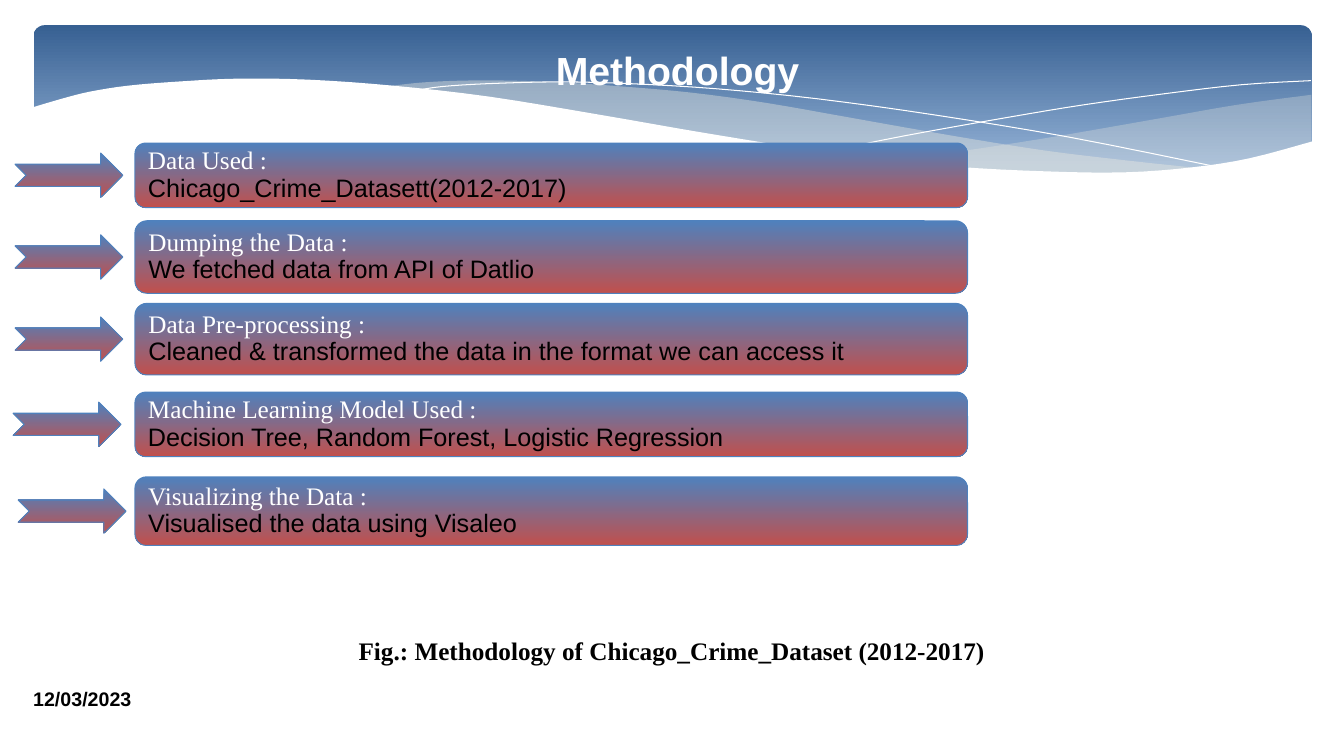
import lxml.etree
import pptx
import pptx.dml.color
import pptx.enum.shapes
import pptx.enum.text
import pptx.oxml.ns
import pptx.util

Pt = pptx.util.Pt
SHAPES = pptx.enum.shapes.MSO_SHAPE
ALIGN = pptx.enum.text.PP_ALIGN
ANCHOR = pptx.enum.text.MSO_ANCHOR

SANS, SERIF = "Arial", "Times New Roman"
BLUE, RED, WHITE, BLACK, VEIL = "4F81BD", "C0504D", "FFFFFF", "000000", "EEECE1"

ROW_LEFT, ROW_WIDTH = 96.4, 594.7
ARROW_WIDTH, ARROW_HEIGHT = 77, 31.7

# top, height, arrow left, heading, detail
STEPS = [
    (102.2, 46.1, 10.8, "Data Used :", "Chicago_Crime_Datasett(2012-2017)"),
    (157.7, 51.8, 10.8, "Dumping the Data :", "We fetched data from API of Datlio"),
    (216.7, 51.1, 10.8, "Data Pre-processing :",
     "Cleaned & transformed the data in the format we can access it"),
    (280.1, 46.1, 9.4, "Machine Learning Model Used :",
     "Decision Tree, Random Forest, Logistic Regression"),
    (340.6, 49, 13, "Visualizing the Data :", "Visualised the data using Visaleo"),
]

RIGHT_VEIL = [
    [(936.7, 67.7), (883.4, 74.9), (825.8, 85), (747.4, 98.6), (677.5, 109.4),
     (635, 115.2)],
    [(635, 115.2), (676.8, 118.8), (726.5, 122.4), (771.1, 123.8), (810.7, 123.1),
     (853.9, 119.5), (891.4, 113.8), (936.7, 102.2)],
]
CROSSING_VEIL = [
    [(856.8, 120.2), (803.5, 114.5), (744.5, 107.3), (677.5, 96.5), (604.1, 83.5),
     (546.5, 73.4), (493.9, 66.2), (445.7, 61.9), (403.2, 59), (364.3, 57.6),
     (330.5, 57.6), (301, 59), (275, 61.9)],
    [(275, 61.9), (328.3, 67.7), (388.1, 76.3), (431.3, 83.5), (508.3, 97.2),
     (577.4, 108), (638.6, 115.9), (693.4, 121), (741.6, 123.8), (784.8, 124.6),
     (823, 123.1), (856.8, 120.2)],
]
FALLING_LINE = [
    [(296.6, 64.8), (315.4, 61.9), (348.5, 59.8), (399.6, 58.5), (450, 59.8),
     (511.2, 63.4), (583.9, 70.6), (667.4, 82.1), (763.2, 97.9), (870.8, 119.5)],
]
RISING_LINE = [
    [(589, 108.7), (645.1, 97.2), (717.8, 84.2), (774, 74.9), (831.6, 67),
     (887, 60.5), (936.4, 57.6)],
]
WHITE_WAVE = [
    [(938.2, 100.8), (892.8, 113), (851.8, 119.5), (803.5, 123.1), (746.6, 122.4),
     (679.7, 118.8), (600.5, 110.2), (508.3, 95.8), (429.1, 82.1), (349.9, 69.1),
     (280.8, 61.2), (220.3, 56.9), (169.2, 56.2), (126.7, 58.3), (91.4, 61.2),
     (64.1, 65.5), (43.9, 70.6), (22.3, 77)],
    [(22.3, 161.3), (938.2, 161.3)],
]


def rgb(value):
    return pptx.dml.color.RGBColor.from_string(value)


def smooth_curve(points, steps=4):
    """Return points on a Catmull-Rom spline through the given points."""
    padded = [points[0], *points, points[-1]]
    curve = [points[0]]
    for a, b, c, d in zip(padded, padded[1:], padded[2:], padded[3:]):
        for step in range(1, steps + 1):
            t = step / steps
            curve.append(tuple(
                (2 * q + (r - p) * t + (2 * p - 5 * q + 4 * r - s) * t ** 2
                 + (3 * q - p - 3 * r + s) * t ** 3) / 2
                for p, q, r, s in zip(a, b, c, d)))
    return curve


class SlideBuilder:
    def __init__(self, slide):
        self.shapes = slide.shapes
        self.frame_format = {
            "margin_left": Pt(7.2), "margin_right": Pt(7.2),
            "margin_top": Pt(3.6), "margin_bottom": Pt(3.6),
        }

    def fill_text(self, shape, lines, wrap=True, anchor=ANCHOR.TOP, align=ALIGN.LEFT,
                  spacing=1.0):
        """Fill a shape with (text, font, size, colour, bold) lines."""
        frame = shape.text_frame
        frame_format = {**self.frame_format, "word_wrap": wrap, "vertical_anchor": anchor}
        for name, value in frame_format.items():
            setattr(frame, name, value)
        for index, (text, font, size, colour, bold) in enumerate(lines):
            paragraph = frame.add_paragraph() if index else frame.paragraphs[0]
            paragraph.alignment = align
            paragraph.line_spacing = spacing
            run = paragraph.add_run()
            run.text = text
            for name, value in {"name": font, "size": Pt(size), "bold": bold}.items():
                setattr(run.font, name, value)
            run.font.color.rgb = rgb(colour)

    def text_box(self, box, line, **layout):
        self.fill_text(self.shapes.add_textbox(*map(Pt, box)), [line], **layout)

    def gradient_shape(self, kind, box, top_colour, bottom_colour, end=1.0,
                       outline=None, corner=None):
        shape = self.shapes.add_shape(kind, *map(Pt, box))
        shape.shadow.inherit = False
        if corner is not None:
            shape.adjustments[0] = corner
        shape.fill.gradient()
        shape.fill.gradient_angle = 270
        stops = zip(shape.fill.gradient_stops, (top_colour, bottom_colour), (0, end))
        for stop, colour, position in stops:
            stop.color.rgb = rgb(colour)
            stop.position = position
        if outline:
            shape.line.color.rgb = rgb(outline)
            shape.line.width = Pt(0.75)
        else:
            shape.line.fill.background()
        return shape

    def wave(self, edges, fill=None, opacity=100, outline=None):
        """Draw smooth edges joined by corners, closed when filled."""
        points = [tuple(map(Pt, point)) for edge in edges for point in smooth_curve(edge)]
        builder = self.shapes.build_freeform(*points[0])
        builder.add_line_segments(points[1:], close=fill is not None)
        shape = builder.convert_to_shape()
        shape.shadow.inherit = False
        if fill:
            shape.fill.solid()
            shape.fill.fore_color.rgb = rgb(fill)
            shape.line.fill.background()
        else:
            shape.fill.background()
            shape.line.color.rgb = rgb(outline)
            shape.line.width = Pt(0)
        if opacity < 100:
            qn = pptx.oxml.ns.qn
            colour = shape.element.spPr.find(qn("a:solidFill")).find(qn("a:srgbClr"))
            lxml.etree.SubElement(colour, qn("a:alpha"), val=str(opacity * 1000))


def main():
    presentation = pptx.Presentation()
    presentation.slide_width = Pt(960)
    presentation.slide_height = Pt(540)
    builder = SlideBuilder(presentation.slides.add_slide(presentation.slide_layouts[6]))

    builder.gradient_shape(SHAPES.ROUNDED_RECTANGLE, (24, 18, 913, 112.3),
                           "376092", "95B3D7", end=0.9, corner=0.07)
    builder.wave(RIGHT_VEIL, fill=VEIL, opacity=29)
    builder.wave(CROSSING_VEIL, fill=VEIL, opacity=40)
    builder.wave(FALLING_LINE, outline=WHITE)
    builder.wave(RISING_LINE, outline=WHITE)
    builder.wave(WHITE_WAVE, fill=WHITE)

    builder.text_box((52, 22.3, 864, 54.7), ("Methodology", SANS, 28, WHITE, True),
                     anchor=ANCHOR.MIDDLE, align=ALIGN.CENTER)
    builder.text_box((201.6, 450, 556.6, 41.8),
                     ("Fig.: Methodology of Chicago_Crime_Dataset (2012-2017)",
                      SERIF, 18, BLACK, True), align=ALIGN.CENTER)

    for top, height, arrow_left, heading, detail in STEPS:
        row = builder.gradient_shape(
            SHAPES.ROUNDED_RECTANGLE, (ROW_LEFT, top, ROW_WIDTH, height),
            BLUE, RED, outline=BLUE)
        builder.fill_text(row, [(heading, SERIF, 18, WHITE, False),
                                (detail, SANS, 18, BLACK, False)],
                          wrap=False, anchor=ANCHOR.MIDDLE, spacing=0.9)
        arrow_top = top + (height - ARROW_HEIGHT) / 2
        builder.gradient_shape(
            SHAPES.NOTCHED_RIGHT_ARROW,
            (arrow_left, arrow_top, ARROW_WIDTH, ARROW_HEIGHT), BLUE, RED, outline=BLUE)

    builder.text_box((16.6, 487.4, 223.9, 37.4), ("12/03/2023", SANS, 14, BLACK, True))
    presentation.save("out.pptx")


if __name__ == "__main__":
    main()
